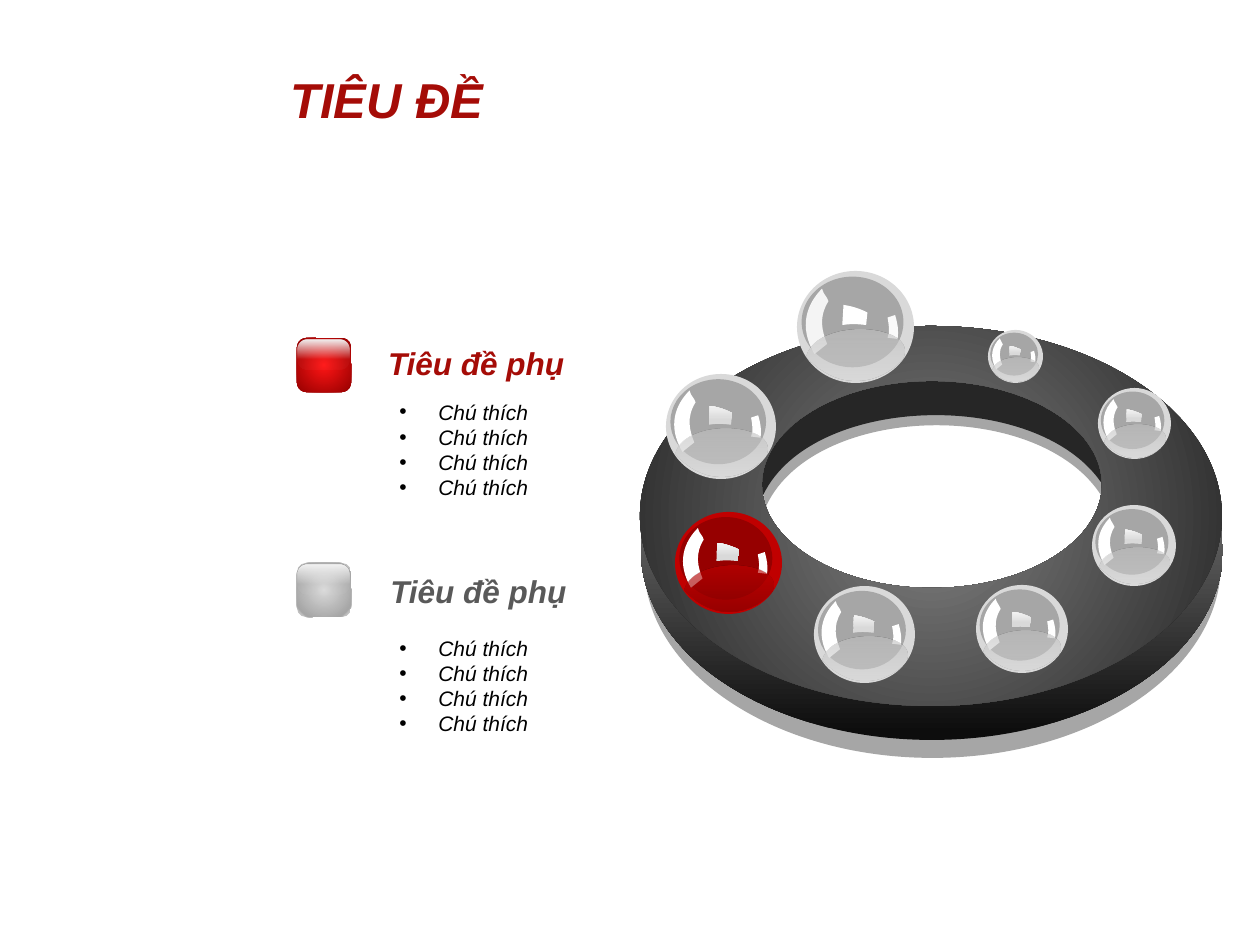
from dataclasses import dataclass

from lxml import etree
from pptx import Presentation
from pptx.dml.color import RGBColor
from pptx.enum.shapes import MSO_SHAPE
from pptx.enum.text import MSO_ANCHOR
from pptx.oxml.ns import qn
from pptx.util import Emu, Pt

OVAL = MSO_SHAPE.OVAL
ROUNDED = MSO_SHAPE.ROUNDED_RECTANGLE
TOP = MSO_ANCHOR.TOP
PX = 914400 // 126


@dataclass(frozen=True)
class Grad:
    stops: tuple
    angle: int | None = None


@dataclass(frozen=True)
class Ball:
    rim: str
    core: str
    pool: Grad
    window: object
    left: object = "FFFFFF"
    right: object = "FFFFFF"


@dataclass(frozen=True)
class Theme:
    font: str = "Arial"
    title_size: int = 28
    subtitle_size: int = 18
    note_size: int = 12
    red: str = "A50C07"
    gray: str = "595959"
    black: str = "000000"
    white: str = "FFFFFF"
    shadow: str = "A6A6A6"
    base: str = "C7C7C7"
    wall: str = "262626"
    side: Grad = Grad(((2, "0D0D0D"), (99, "A6A6A6")), 270)
    top: Grad = Grad(((0, "808080"), (100, "262626")))
    red_tile: Grad = Grad(((0, "FF1515"), (100, "960000")))
    gray_tile: Grad = Grad(((0, "D9D9D9"), (81, "A6A6A6"), (86, "BFBFBF")))
    gloss: Grad = Grad(((0, "F2F2F2"), (65, "FFFFFF", 3)), 90)
    pane: Grad = Grad(((26, "D9D9D9"), (98, "F2F2F2")), 270)
    gray_pool: Grad = Grad(((0, "D9D9D9", 45), (98, "BFBFBF", 63)), 270)
    red_pool: Grad = Grad(((1, "820000", 65), (100, "C00000", 62)), 270)


LEFT_GLINT = [(215, 157), (226, 213, 258, 225, 269, 270),
              (183, 416, 215, 539, 258, 652), (150, 742),
              (10, 494, 86, 292, 215, 157)]
WINDOW = [(398, 303), (473, 315, 538, 337, 602, 371), (591, 483),
          (505, 472, 452, 472, 387, 483)]
RIGHT_GLINT = [(774, 416), (839, 393), (860, 472, 871, 528, 860, 607),
               (774, 596), (796, 539, 785, 483, 774, 416)]
POOL = [(86, 764), (172, 404, 1065, 472, 903, 787),
        (753, 966, 398, 1112, 86, 764)]
CIRCLE = [(500, 0), (776, 0, 1000, 224, 1000, 500), (1000, 776, 776, 1000, 500, 1000),
          (224, 1000, 0, 776, 0, 500), (0, 224, 224, 0, 500, 0)]


def fit(contour, x, y, w, h):
    return [tuple(y + v * h / 1000 if i % 2 else x + v * w / 1000
                  for i, v in enumerate(seg)) for seg in contour]


def trace(contour, steps=24):
    pts = []
    for seg in contour:
        if len(seg) == 2:
            pts.append(seg)
            continue
        ctrl = [pts[-1], seg[:2], seg[2:4], seg[4:]]
        for i in range(1, steps + 1):
            t = i / steps
            weights = ((1 - t) ** 3, 3 * t * (1 - t) ** 2, 3 * t * t * (1 - t), t ** 3)
            pts.append(tuple(sum(w * c[k] for w, c in zip(weights, ctrl)) for k in (0, 1)))
    return pts


class Deck:
    def __init__(self, prs, theme):
        self.theme = theme
        self.s = prs.slides.add_slide(prs.slide_layouts[6])

    def add_color(self, parent, color, alpha=100):
        clr = etree.SubElement(parent, qn("a:srgbClr"), val=color)
        if alpha < 100:
            etree.SubElement(clr, qn("a:alpha"), val=str(alpha * 1000))

    def paint(self, sp, fill):
        sp.shadow.inherit = False
        sp.line.fill.background()
        if isinstance(fill, str):
            sp.fill.solid()
            sp.fill.fore_color.rgb = RGBColor.from_string(fill)
            return
        sp.fill.background()
        props = sp._element.spPr
        old = props.find(qn("a:noFill"))
        if isinstance(fill, tuple):
            new = etree.Element(qn("a:solidFill"))
            self.add_color(new, *fill)
        else:
            new = etree.Element(qn("a:gradFill"), rotWithShape="1")
            stops = etree.SubElement(new, qn("a:gsLst"))
            for pos, *color in fill.stops:
                gs = etree.SubElement(stops, qn("a:gs"), pos=str(pos * 1000))
                self.add_color(gs, *color)
            if fill.angle is None:
                center = etree.SubElement(new, qn("a:path"), path="circle")
                etree.SubElement(center, qn("a:fillToRect"), l="50000", t="50000", r="50000", b="50000")
            else:
                etree.SubElement(new, qn("a:lin"), ang=str(fill.angle * 60000), scaled="0")
        props.replace(old, new)

    def shape(self, kind, x, y, w, h, fill, adj=None):
        sp = self.s.shapes.add_shape(kind, *(Emu(round(v * PX)) for v in (x, y, w, h)))
        if adj is not None:
            sp.adjustments[0] = adj
        self.paint(sp, fill)

    def outline(self, contours, fill):
        xs, ys = zip(*(pt for c in contours for pt in trace(c)))
        left, right, top, bottom = (round(v * PX) for v in (min(xs), max(xs), min(ys), max(ys)))
        builder = self.s.shapes.build_freeform(left, top, scale=1.0)
        builder.add_line_segments([(right, top), (right, bottom), (left, bottom)], close=True)
        sp = builder.convert_to_shape()
        geom = next(sp._element.spPr.iter(qn("a:path")))
        for child in list(geom):
            geom.remove(child)
        for contour in contours:
            for i, seg in enumerate(contour):
                tag = "a:moveTo" if i == 0 else "a:lnTo" if len(seg) == 2 else "a:cubicBezTo"
                step = etree.SubElement(geom, qn(tag))
                for x, y in zip(seg[::2], seg[1::2]):
                    etree.SubElement(step, qn("a:pt"), x=str(round(x * PX) - left),
                                     y=str(round(y * PX) - top))
            etree.SubElement(geom, qn("a:close"))
        self.paint(sp, fill)

    def ring(self, outer, hole, fill):
        self.outline([fit(CIRCLE, *hole), fit(CIRCLE, *outer)], fill)

    def ball(self, x, y, w, h, look):
        self.shape(OVAL, x, y, w, h, look.rim)
        self.shape(OVAL, x + .04 * w, y + .05 * h, .87 * w, .81 * h, look.core)
        for contour, fill in ((LEFT_GLINT, look.left), (WINDOW, look.window),
                              (RIGHT_GLINT, look.right), (POOL, look.pool)):
            self.outline([fit(contour, x, y, w, h)], fill)

    def text(self, text, x, y, w, h, *, size, color, bold=False, wrap=True, bullet=False):
        tb = self.s.shapes.add_textbox(*(Emu(v * PX) for v in (x, y, w, h)))
        tf = tb.text_frame
        tf.word_wrap = wrap
        tf.vertical_anchor = TOP
        for i, line in enumerate(text.split("\n")):
            p = tf.paragraphs[0] if i == 0 else tf.add_paragraph()
            r = p.add_run()
            r.text = line
            r.font.name = self.theme.font
            r.font.size = Pt(size)
            r.font.bold = bold
            r.font.italic = True
            r.font.color.rgb = RGBColor.from_string(color)
            if bullet:
                props = p._p.get_or_add_pPr()
                props.set("marL", str(39 * PX))
                props.set("indent", str(-39 * PX))
                etree.SubElement(props, qn("a:buFont"), typeface=self.theme.font)
                etree.SubElement(props, qn("a:buChar"), char="•")

    def legend(self, y, tile, color, heading, heading_x, heading_y, notes_y):
        t = self.theme
        self.text("\n".join(["Chú thích"] * 4), 387, notes_y, 251, 115,
                  size=t.note_size, color=t.black, bullet=True)
        self.shape(ROUNDED, 297, y, 54, 54, tile)
        self.shape(ROUNDED, 298, y + 2, 52, 29, t.gloss, adj=.33)
        self.text(heading, heading_x, heading_y, 275, 50,
                  size=t.subtitle_size, color=color, bold=True)


theme = Theme()
prs = Presentation()
prs.slide_width, prs.slide_height = Emu(1260 * PX), Emu(945 * PX)
deck = Deck(prs, theme)

shadow_wall = [(760, 403), (849, 368, 1077, 316, 1109, 510),
               (1057, 391, 790, 399, 760, 524), (762, 488, 757, 440, 760, 403)]
inner_wall = [(759, 394), (848, 359, 1079, 309, 1110, 498),
              (1057, 382, 789, 389, 757, 512), (761, 476, 756, 430, 759, 394)]
deck.outline([shadow_wall], theme.shadow)
deck.ring((644, 369, 577, 389), (731, 369, 403, 253), theme.shadow)
deck.ring((643, 334, 577, 389), (764, 389, 338, 212), theme.base)
deck.outline([inner_wall], theme.wall)
deck.ring((641, 360, 582, 380), (730, 360, 406, 247), theme.side)
deck.ring((640, 326, 582, 380), (762, 381, 340, 207), theme.top)

gray = Ball("D9D9D9", "A6A6A6", theme.gray_pool, theme.pane)
bright = Ball("D9D9D9", "A6A6A6", theme.gray_pool, theme.white, (theme.white, 88), (theme.white, 95))
red = Ball("C00000", "960000", theme.red_pool, theme.pane)
for box, look in (((666, 374, 110, 105), gray), ((797, 271, 117, 112), bright),
                  ((675, 512, 107, 102), red), ((814, 586, 101, 97), gray),
                  ((976, 585, 92, 88), gray), ((1092, 505, 84, 81), gray),
                  ((1098, 388, 73, 71), gray), ((988, 330, 55, 53), gray)):
    deck.ball(*box, look)

deck.legend(338, theme.red_tile, theme.red, " Tiêu đề phụ", 367, 338, 393)
deck.legend(563, theme.gray_tile, theme.gray, "Tiêu đề phụ", 378, 566, 629)
deck.text("TIÊU ĐỀ ", 278, 63, 234, 72, size=theme.title_size,
          color=theme.red, bold=True, wrap=False)

prs.save("out.pptx")
